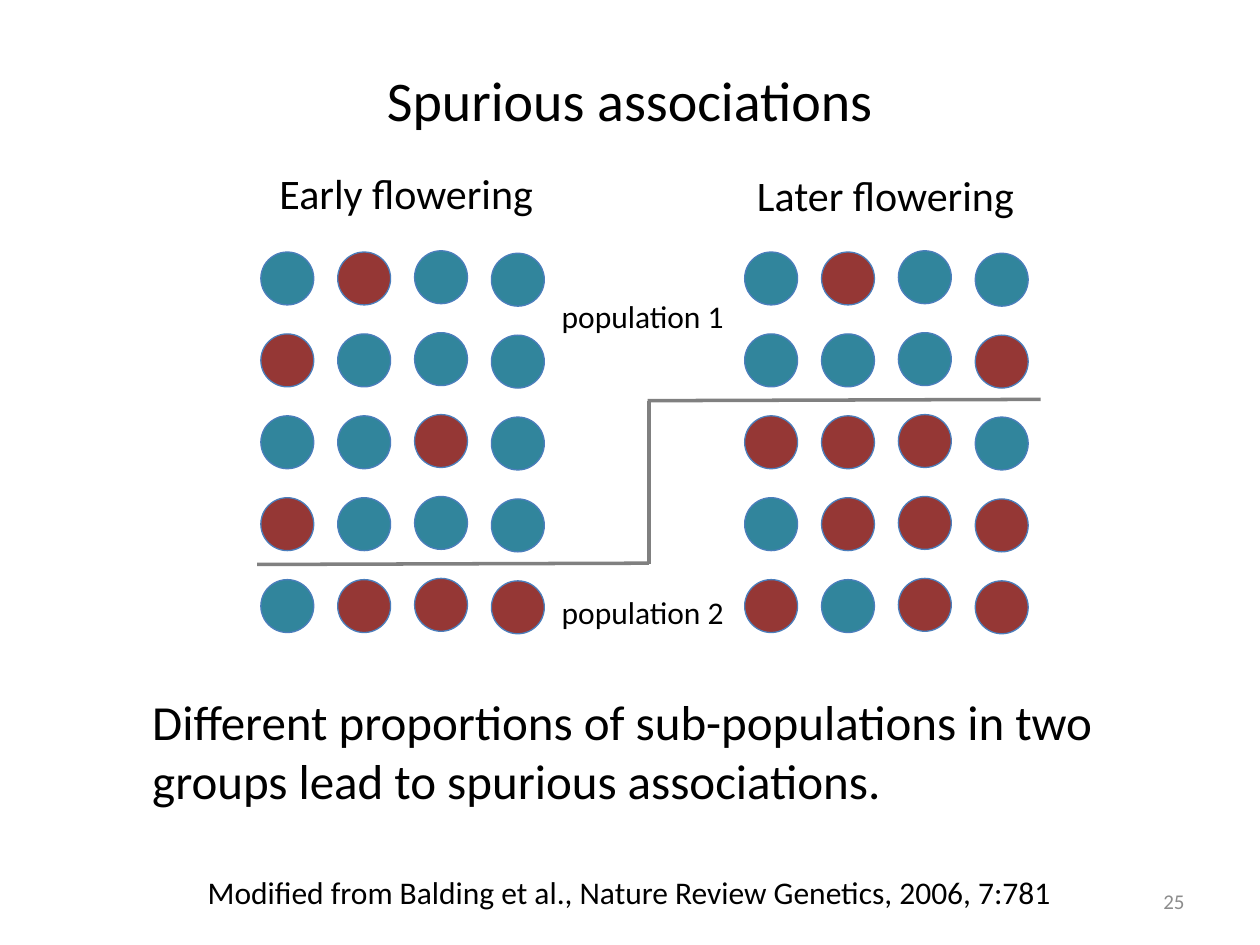
import pptx
import pptx.util
import pptx.dml.color
import pptx.enum.shapes
import pptx.enum.text
import lxml.etree

Inches, Pt = pptx.util.Inches, pptx.util.Pt
RGBColor = pptx.dml.color.RGBColor
ALIGN = pptx.enum.text.PP_ALIGN
ANCHOR = pptx.enum.text.MSO_ANCHOR

BLACK = RGBColor(0x00, 0x00, 0x00)
PAGE_GREY = RGBColor(0x8C, 0x8C, 0x8C)
DIVIDER_GREY = RGBColor(0x80, 0x80, 0x80)
OUTLINE_BLUE = RGBColor(0x4B, 0x7E, 0xBC)
ALLELE_COLORS = {"T": RGBColor(0x31, 0x85, 0x9C), "R": RGBColor(0x95, 0x37, 0x35)}

CAPTIONS = [
    ("Spurious associations", (0.5, 0.3, 9, 0.98), 32, BLACK, ALIGN.CENTER, ANCHOR.MIDDLE, True),
    ("Early flowering", (2.12, 1.28, 2.24, 0.5), 24, BLACK, ALIGN.LEFT, ANCHOR.TOP, False),
    ("Later flowering", (5.91, 1.3, 2.27, 0.5), 24, BLACK, ALIGN.LEFT, ANCHOR.TOP, False),
    ("Different proportions of sub-populations in two groups lead to spurious associations.",
     (1.11, 5.44, 7.89, 1.04), 28, BLACK, ALIGN.LEFT, ANCHOR.TOP, True),
    ("Modified from Balding et al., Nature Review Genetics, 2006, 7:781",
     (1.55, 6.88, 7.14, 0.4), 18, BLACK, ALIGN.LEFT, ANCHOR.TOP, False),
    ("25", (7.17, 6.95, 2.33, 0.4), 12, PAGE_GREY, ALIGN.RIGHT, ANCHOR.MIDDLE, True),
    ("population 1", (4.36, 2.31, 1.5, 0.4), 18, BLACK, ALIGN.LEFT, ANCHOR.TOP, False),
    ("population 2", (4.36, 4.66, 1.5, 0.4), 18, BLACK, ALIGN.LEFT, ANCHOR.TOP, False),
]

FLOWERING_GROUPS = [
    (2.07, ["TRTT", "RTTT", "TTRT", "RTTT", "TRRR"]),
    (5.91, ["TRTT", "TTTR", "RRRT", "TRRR", "RTRR"]),
]
FIRST_ROW, ROW_STEP, COLUMN_STEP, PLANT_SIZE = 2, 0.65, 0.61, 0.42
COLUMN_DROPS = [0, 0, -0.01, 0.01]

DIVIDERS = [
    (2.04, 4.48, 5.15, 4.47),
    (5.14, 3.18, 8.26, 3.17),
    (5.15, 3.18, 5.15, 4.48),
]


def assign(target, values):
    for name, value in values.items():
        setattr(target, name, value)


def add_caption(slide, text, place, size, color, align, anchor, wrap):
    caption = slide.shapes.add_textbox(*map(Inches, place))
    assign(caption.text_frame, {"word_wrap": wrap, "vertical_anchor": anchor})
    paragraph = caption.text_frame.paragraphs[0]
    paragraph.alignment = align
    words = paragraph.add_run()
    words.text = text
    assign(words.font, {"name": "Calibri", "size": Pt(size)})
    words.font.color.rgb = color


def add_plant_row(slide, left, top, alleles):
    row = slide.shapes.add_group_shape()
    for column, (allele, drop) in enumerate(zip(alleles, COLUMN_DROPS)):
        plant = row.shapes.add_shape(
            pptx.enum.shapes.MSO_SHAPE.OVAL,
            Inches(left + column * COLUMN_STEP), Inches(top + drop),
            Inches(PLANT_SIZE), Inches(PLANT_SIZE))
        plant.shadow.inherit = False
        plant.fill.solid()
        plant.fill.fore_color.rgb = ALLELE_COLORS[allele]
        plant.line.color.rgb = OUTLINE_BLUE
        plant.line.width = Pt(0.75)


def add_population_divider(slide):
    divider = slide.shapes.add_group_shape()
    for ends in DIVIDERS:
        segment = divider.shapes.add_connector(
            pptx.enum.shapes.MSO_CONNECTOR.STRAIGHT, *map(Inches, ends))
        segment.line.color.rgb = DIVIDER_GREY
        segment.line.width = Pt(2)
        lxml.etree.SubElement(segment._element.spPr, pptx.oxml.ns.qn("a:effectLst"))


def main():
    deck = pptx.Presentation()
    assign(deck, {"slide_width": Inches(10), "slide_height": Inches(7.5)})
    slide = deck.slides.add_slide(deck.slide_layouts[6])
    for caption in CAPTIONS:
        add_caption(slide, *caption)
    for left, rows in FLOWERING_GROUPS:
        for index, alleles in enumerate(rows):
            add_plant_row(slide, left, FIRST_ROW + index * ROW_STEP, alleles)
    add_population_divider(slide)
    deck.save("out.pptx")


if __name__ == "__main__":
    main()
